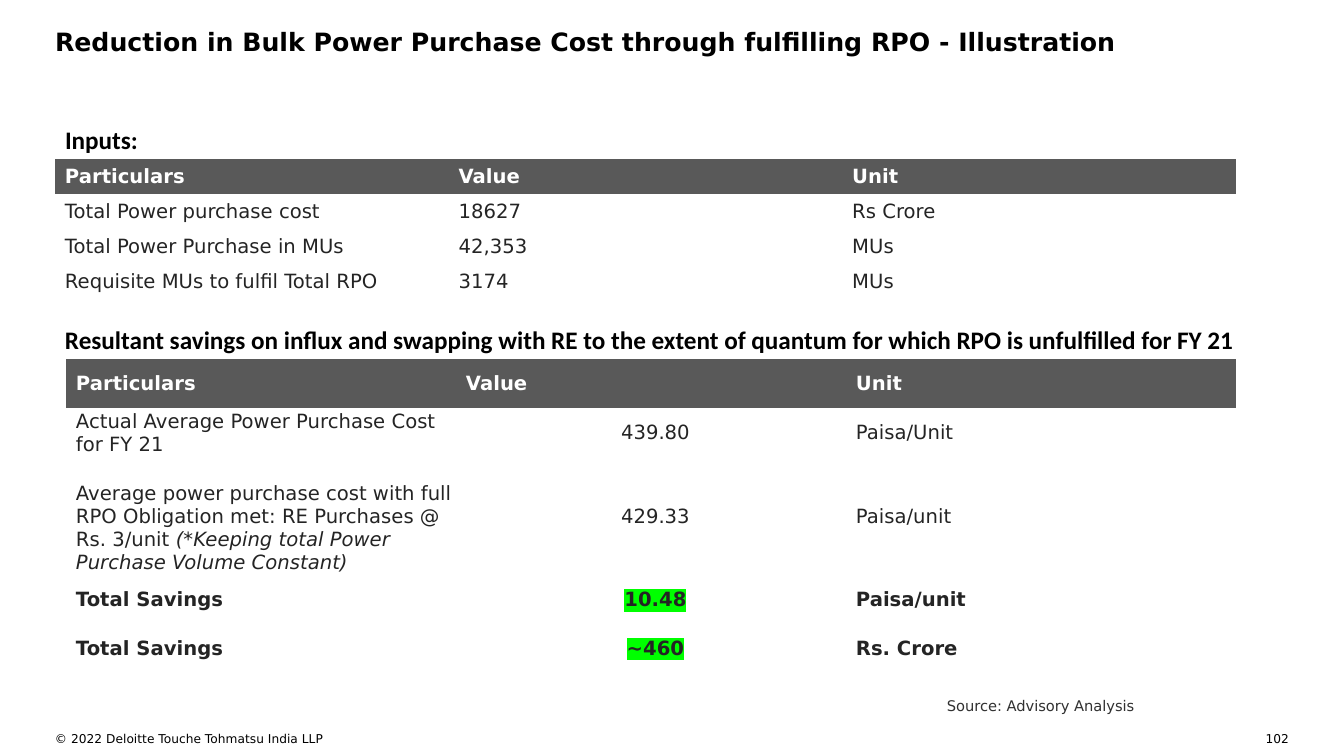
from dataclasses import dataclass

from lxml.etree import SubElement
from pptx import Presentation
from pptx.dml.color import RGBColor as Rgb
from pptx.enum.text import MSO_ANCHOR as Anchor, MSO_AUTO_SIZE as AutoSize, PP_ALIGN as Align
from pptx.oxml.ns import qn
from pptx.util import Pt

PX = 914400 / 100.8
PLAIN_TABLE = "{2D5ABB26-0587-4C30-8999-92F81FD0307C}"


@dataclass(frozen=True)
class Theme:
    body_font: str = "DejaVu Sans"
    heading_font: str = "Calibri"
    ink: str = "000000"
    cell_ink: str = "242424"
    source_ink: str = "313131"
    header_ink: str = "FFFFFF"
    header_fill: str = "595959"
    highlight: str = "00FF00"
    heading_size: float = 18
    cell_size: float = 14
    source_size: float = 10.5
    footer_size: float = 8.7


THEME = Theme()


def px(length):
    return round(length * PX)


def set_all(target, **values):
    for name, value in values.items():
        setattr(target, name, value)


def place(part, box):
    set_all(part, **dict(zip(("left", "top", "width", "height"), map(px, box))))


def add_run(paragraph, text, size, color, font=THEME.body_font, bold=False, italic=False):
    run = paragraph.add_run()
    run.text = text
    set_all(run.font, name=font, size=Pt(size), bold=bold, italic=italic)
    run.font.color.rgb = Rgb.from_string(color)
    return run


def mark(run):
    """Put a highlight behind a run."""
    fill = run.font._element.find(qn("a:solidFill"))
    highlight = fill.makeelement(qn("a:highlight"))
    SubElement(highlight, qn("a:srgbClr")).set("val", THEME.highlight)
    fill.addnext(highlight)


def set_insets(frame, left=0, top=0, right=0, bottom=0):
    set_all(frame, margin_left=px(left), margin_top=px(top),
            margin_right=px(right), margin_bottom=px(bottom))


def add_line(slide, box, text, size, color, align=Align.LEFT):
    frame = slide.shapes.add_textbox(*map(px, box)).text_frame
    frame.word_wrap = True
    set_insets(frame)
    paragraph = frame.paragraphs[0]
    paragraph.alignment = align
    add_run(paragraph, text, size, color)


def add_title(slide, box, text):
    title = slide.shapes.title
    place(title, box)
    frame = title.text_frame
    set_all(frame, word_wrap=True, auto_size=AutoSize.NONE, vertical_anchor=Anchor.TOP)
    set_insets(frame)
    frame.paragraphs[0].alignment = Align.JUSTIFY
    add_run(frame.paragraphs[0], text, THEME.heading_size, THEME.ink, bold=True)


def add_heading(slide, box, text):
    frame = slide.shapes.add_textbox(*map(px, box)).text_frame
    frame.word_wrap = True
    set_insets(frame, 10, 5, 10, 5)
    paragraph = frame.paragraphs[0]
    paragraph.line_spacing = 1.06
    add_run(paragraph, text, THEME.heading_size, THEME.ink, THEME.heading_font, bold=True)


def add_grid(slide, box, rows, heights, value_align=Align.LEFT, bold_from=None, remark=None):
    """Three equal columns under a dark header; rows from bold_from on are totals."""
    left, top, width, _ = box
    height = sum(heights)
    table = slide.shapes.add_table(len(rows), 3, *map(px, (left, top, width, height))).table
    set_all(table, first_row=False, horz_banding=False)
    table._tbl.tblPr.find(qn("a:tableStyleId")).text = PLAIN_TABLE
    for column in table.columns:
        column.width = px(width / 3)

    for r, texts in enumerate(rows):
        table.rows[r].height = px(heights[r])
        is_header = r == 0
        is_total = bold_from is not None and r >= bold_from
        for c, text in enumerate(texts):
            cell = table.cell(r, c)
            cell.vertical_anchor = Anchor.MIDDLE
            set_insets(cell, 10, 1, 1)
            if is_header:
                cell.fill.solid()
                cell.fill.fore_color.rgb = Rgb.from_string(THEME.header_fill)
            else:
                cell.fill.background()
            paragraph = cell.text_frame.paragraphs[0]
            is_value = c == 1 and not is_header
            paragraph.alignment = value_align if is_value else Align.LEFT
            run = add_run(paragraph, text, THEME.cell_size,
                          THEME.header_ink if is_header else THEME.cell_ink,
                          bold=is_header or is_total)
            if is_total and is_value:
                mark(run)

    # Italic remark that ends one of the labels
    if remark:
        row, text = remark
        cell = table.cell(row, 0)
        cell.margin_top = px(24)
        add_run(cell.text_frame.paragraphs[0], text, THEME.cell_size,
                THEME.cell_ink, italic=True)


def add_inputs(slide, box):
    left, top, width, _ = box
    add_heading(slide, (left, top, width, 41), "Inputs:")
    rows = [
        ("Particulars", "Value", "Unit"),
        ("Total Power purchase cost", "18627", "Rs Crore"),
        ("Total Power Purchase in MUs", "42,353", "MUs"),
        ("Requisite MUs to fulfil Total RPO", "3174", "MUs"),
    ]
    add_grid(slide, (left, top + 41, width, 140), rows, [35] * len(rows))


def add_savings(slide, box):
    left, top, width, _ = box
    add_heading(slide, (left, top, width + 96, 41),
                "Resultant savings on influx and swapping with RE to the extent of "
                "quantum for which RPO is unfulfilled for FY 21")
    rows = [
        ("Particulars", "Value", "Unit"),
        ("Actual Average Power Purchase Cost for FY 21", "439.80", "Paisa/Unit"),
        ("Average power purchase cost with full RPO Obligation met: "
         "RE Purchases @ Rs. 3/unit ", "429.33", "Paisa/unit"),
        ("Total Savings", "10.48", "Paisa/unit"),
        ("Total Savings", "~460", "Rs. Crore"),
    ]
    add_grid(slide, (left + 11, top + 41, width - 11, 312), rows, [49, 49, 116, 49, 49],
             value_align=Align.CENTER, bold_from=3,
             remark=(2, "(*Keeping total Power Purchase Volume Constant)"))


def add_footer(slide, box):
    left, top, width, height = box
    add_line(slide, (left + 892, top, 385, 18), "Source: Advisory Analysis",
             THEME.source_size, THEME.source_ink)
    base = top + height - 22
    add_line(slide, (left, base, 591, 22), "© 2022 Deloitte Touche Tohmatsu India LLP",
             THEME.footer_size, THEME.ink)
    add_line(slide, (left + width - 34, base, 34, 11), "102",
             THEME.footer_size, THEME.ink, Align.RIGHT)


def main():
    deck = Presentation()
    set_all(deck, slide_width=px(1344), slide_height=px(756))
    slide = deck.slides.add_slide(deck.slide_layouts[5])
    add_title(slide, (55, 26, 1234, 40),
              "Reduction in Bulk Power Purchase Cost through fulfilling RPO - Illustration")
    add_inputs(slide, (55, 118, 1181, 181))
    add_savings(slide, (55, 318, 1181, 353))
    add_footer(slide, (55, 697, 1234, 56))
    deck.save("out.pptx")


if __name__ == "__main__":
    main()
